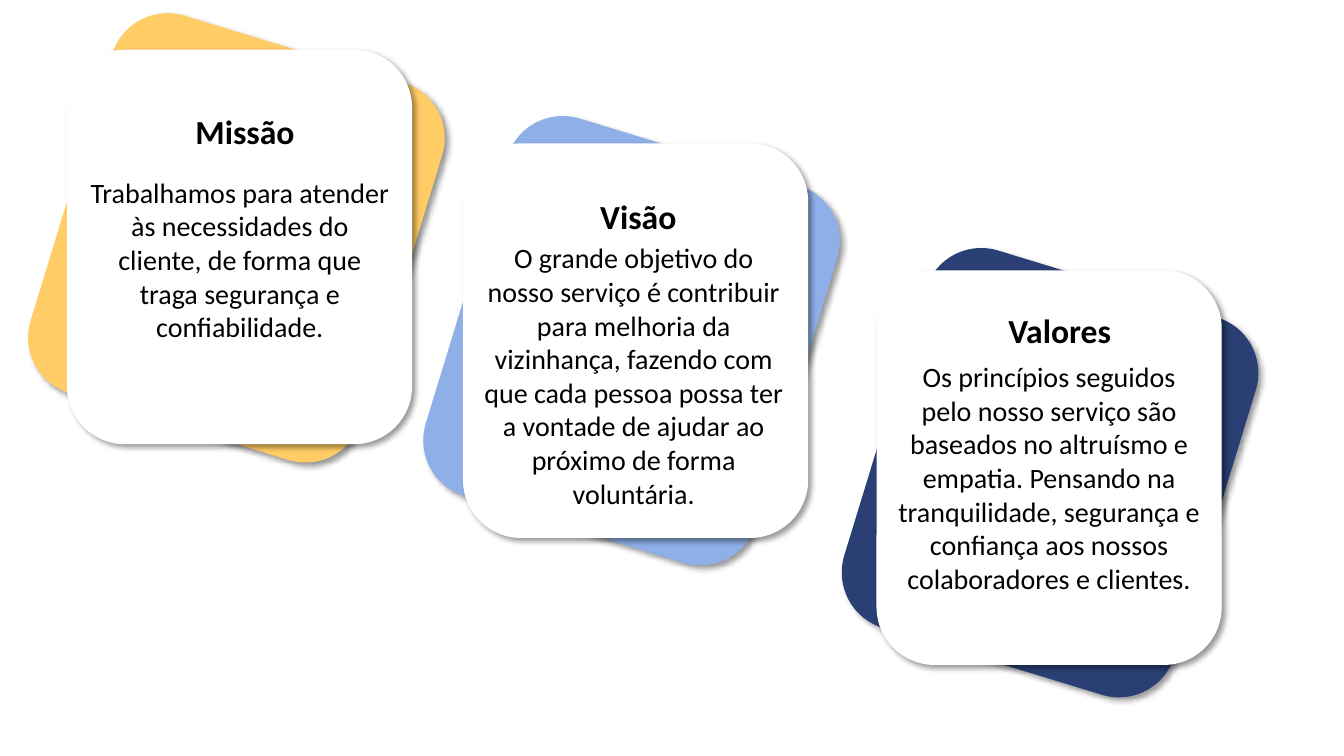
"""Build a slide with three stepped cards for mission, vision and values."""
import pptx
import pptx.dml.color
import pptx.enum.shapes
import pptx.enum.text
import pptx.oxml
import pptx.oxml.ns
import pptx.util

RGBColor = pptx.dml.color.RGBColor
YELLOW = RGBColor(0xFF, 0xCC, 0x66)
BLUE = RGBColor(0x8E, 0xAF, 0xE8)
NAVY = RGBColor(0x2A, 0x3F, 0x74)
WHITE = RGBColor(0xFF, 0xFF, 0xFF)
BLACK = RGBColor(0, 0, 0)

# Places are (left, top) and areas (left, top, width, height), in hundredths of the slide.
CARDS = [
    {"colour": YELLOW, "card": (5.03, 6.67), "tilted": (4.8, 5.47),
     "heading": "Missão", "heading_area": (13.73, 14, 9, 6.67),
     "body": "Trabalhamos para atender às necessidades do cliente, de forma que "
             "traga segurança e confiabilidade.",
     "body_area": (6, 22.53, 23.7, 23.73)},
    {"colour": BLUE, "card": (34.5, 19.07), "tilted": (34.2, 19.07),
     "heading": "Visão", "heading_area": (43.74, 25.2, 7.5, 6.67),
     "body": "O grande objetivo do nosso serviço é contribuir para melhoria da "
             "vizinhança, fazendo com que cada pessoa possa ter a vontade de ajudar "
             "ao próximo de forma voluntária.",
     "body_area": (34.96, 31.2, 24.38, 37.2)},
    {"colour": NAVY, "card": (65.27, 35.87), "tilted": (65.34, 36.53),
     "heading": "Valores", "heading_area": (74.12, 40.4, 9.45, 6.67),
     "body": "Os princípios seguidos pelo nosso serviço são baseados no altruísmo e "
             "empatia. Pensando na tranquilidade, segurança e confiança aos nossos "
             "colaboradores e clientes.",
     "body_area": (65.87, 46.93, 24.38, 32.8)},
]
CARD_SIZE = (25.58, 52)
TILT = 17
SHADOW = (
    f'<a:effectLst {pptx.oxml.ns.nsdecls("a")}>'
    f'<a:outerShdw blurRad="{pptx.util.Pt(4)}" dist="{pptx.util.Pt(3)}" dir="2700000" '
    'algn="tl" rotWithShape="0"><a:srgbClr val="000000"><a:alpha val="40000"/>'
    '</a:srgbClr></a:outerShdw></a:effectLst>'
)

deck = pptx.Presentation()
deck.slide_width = pptx.util.Inches(13.33)
deck.slide_height = pptx.util.Inches(7.5)
page = deck.slides.add_slide(deck.slide_layouts[6])


def place(left, top, width, height):
    """Turn hundredths of the slide into lengths."""
    column, row = deck.slide_width / 100, deck.slide_height / 100
    return [round(length) for length in (left * column, top * row, width * column, height * row)]


def add_card(position, colour, rotation=0):
    """Add a rounded card with a soft shadow."""
    card = page.shapes.add_shape(
        pptx.enum.shapes.MSO_SHAPE.ROUNDED_RECTANGLE, *place(*position, *CARD_SIZE))
    card.rotation = rotation
    card.fill.solid()
    card.fill.fore_color.rgb = colour
    card.line.color.rgb = colour
    card.line.width = pptx.util.Pt(1)
    card._element.spPr.append(pptx.oxml.parse_xml(SHADOW))


def add_text(text, area, size=20, bold=False, wrap=True):
    """Add a centred text box."""
    box = page.shapes.add_textbox(*place(*area))
    frame = box.text_frame
    frame.word_wrap = wrap
    frame.auto_size = pptx.enum.text.MSO_AUTO_SIZE.SHAPE_TO_FIT_TEXT
    para = frame.paragraphs[0]
    para.alignment = pptx.enum.text.PP_ALIGN.CENTER
    span = para.add_run()
    span.text = text
    span.font.name = "Calibri"
    span.font.size = pptx.util.Pt(size)
    span.font.bold = bold
    span.font.color.rgb = BLACK


for item in CARDS:
    add_card(item["tilted"], item["colour"], rotation=TILT)
    add_card(item["card"], WHITE)
    add_text(item["heading"], item["heading_area"], size=24, bold=True, wrap=False)
    add_text(item["body"], item["body_area"])

deck.save("out.pptx")
